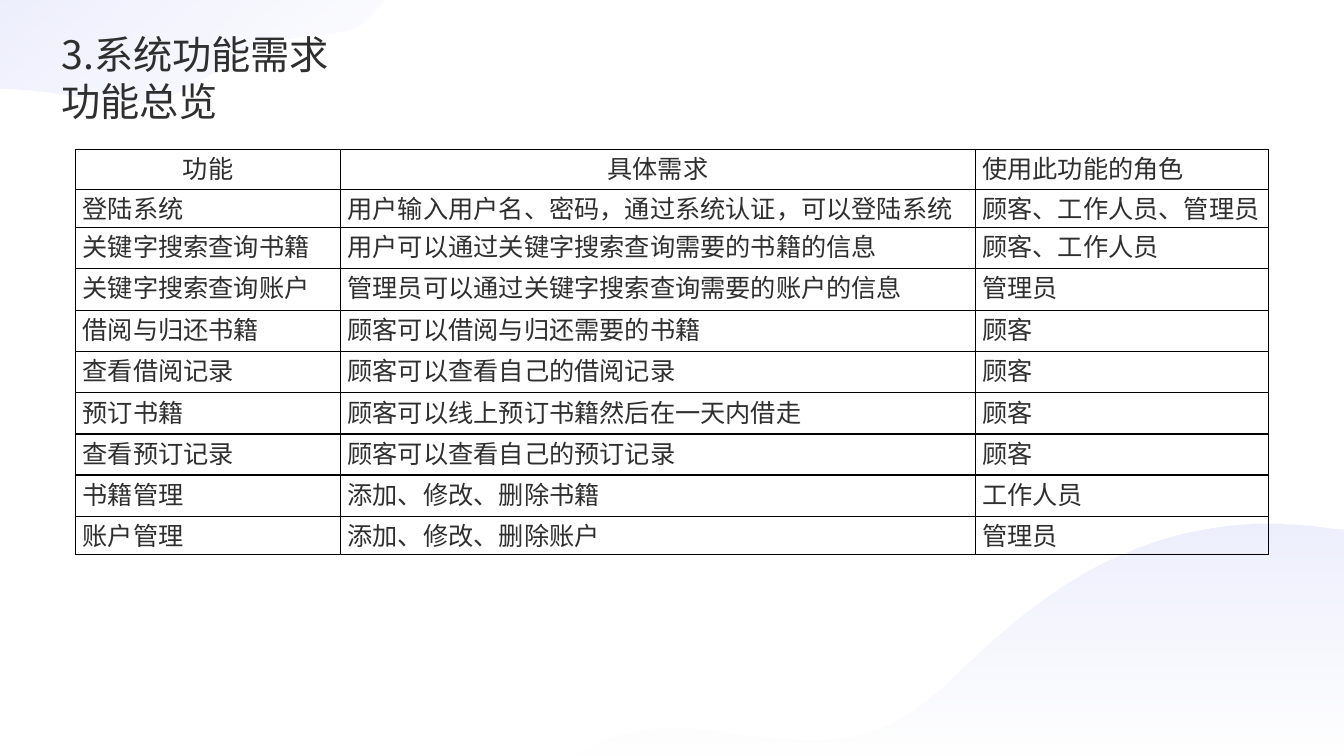
from itertools import product

from lxml.etree import SubElement
from pptx import Presentation
from pptx.dml.color import RGBColor
from pptx.enum.text import MSO_ANCHOR, PP_ALIGN
from pptx.oxml.ns import qn
from pptx.util import Inches, Pt

FONT, INK, LILAC = "Noto Sans CJK SC", "2F2F2F", "DBDFFB"
TABLE_W, TABLE_H = 11.83, 4.02
COLS = [2.63, 6.3, 2.91]
ROWS = [0.4, 0.38, 0.41, 0.42] + [0.41] * 5 + [0.38]
TITLE = ["3.系统功能需求", "功能总览"]
FUNCTIONS = [
    ("功能", "具体需求", "使用此功能的角色"),
    ("登陆系统", "用户输入用户名、密码，通过系统认证，可以登陆系统", "顾客、工作人员、管理员"),
    ("关键字搜索查询书籍", "用户可以通过关键字搜索查询需要的书籍的信息", "顾客、工作人员"),
    ("关键字搜索查询账户", "管理员可以通过关键字搜索查询需要的账户的信息", "管理员"),
    ("借阅与归还书籍", "顾客可以借阅与归还需要的书籍", "顾客"),
    ("查看借阅记录", "顾客可以查看自己的借阅记录", "顾客"),
    ("预订书籍", "顾客可以线上预订书籍然后在一天内借走", "顾客"),
    ("查看预订记录", "顾客可以查看自己的预订记录", "顾客"),
    ("书籍管理", "添加、修改、删除书籍", "工作人员"),
    ("账户管理", "添加、修改、删除账户", "管理员"),
]

# Wave outlines in hundredths of an inch: a pair is a line end, six numbers a Bézier curve
TOP_WAVE = [
    (0, 0), (380, 0), (379, 2),
    (374, 11, 365, 18, 359, 24),
    (343, 38, 291, 33, 256, 46),
    (221, 59, 196, 93, 148, 100),
    (112, 105, 69, 93, 20, 89), (0, 88),
]
BOTTOM_WAVE = [
    (1258, 519), (1276, 519, 1294, 520, 1314, 523),
    (1333, 525), (1333, 750), (567, 750), (576, 744),
    (598, 731, 640, 716, 701, 723),
    (800, 734, 860, 750, 934, 682),
    (1000, 620, 1094, 521, 1258, 519),
]


def rgb(color):
    return RGBColor.from_string(color)


def style(p, size, align):
    p.alignment = align
    font = p.font
    font.size, font.name, font.bold = Pt(size), FONT, False
    font.color.rgb = rgb(INK)
    SubElement(font._element, qn("a:ea"), typeface=FONT)


def add_wave(s, steps, angle):
    # Lay out every point as a line end, then join the triples into curves
    points = [step[i:i + 2] for step in steps for i in range(0, len(step), 2)]
    builder = s.shapes.build_freeform(*points[0], scale=Inches(0.01))
    builder.add_line_segments(points[1:], close=True)
    sp = builder.convert_to_shape()
    lines = iter(list(sp._element.iter(qn("a:lnTo"))))
    for step in steps[1:]:
        line = next(lines)
        if len(step) == 6:
            line.tag = qn("a:cubicBezTo")
            for _ in range(2):
                extra = next(lines)
                line.append(extra[0])
                extra.getparent().remove(extra)

    sp.shadow.inherit = False
    sp.line.fill.background()
    sp.fill.gradient()
    sp.fill.gradient_angle = 360 - angle
    for stop, place, alpha in zip(sp.fill.gradient_stops, (0, 1), (50000, 0)):
        stop.position = place
        stop.color.rgb = rgb(LILAC)
        color = stop._gs.find(qn("a:srgbClr"))
        SubElement(color, qn("a:alpha"), val=str(alpha))


def add_title(s):
    sp = s.shapes.title
    sp.left, sp.top, sp.width, sp.height = map(Inches, (0.51, 0.24, 4, 1.75))
    tf = sp.text_frame
    tf.text = "\n".join(TITLE)
    tf.word_wrap = True
    tf.margin_top = Inches(0.06)
    tf.vertical_anchor = MSO_ANCHOR.TOP
    for p in tf.paragraphs:
        p.line_spacing = Pt(33.6)
        style(p, 28, PP_ALIGN.LEFT)
    s.shapes._spTree.append(sp._element)  # in front of the waves


def border(cell):
    tc_pr = cell._tc.get_or_add_tcPr()
    for side in ("lnL", "lnR", "lnT", "lnB"):
        line = SubElement(tc_pr, qn(f"a:{side}"), w=str(Pt(1)))
        fill = SubElement(line, qn("a:solidFill"))
        SubElement(fill, qn("a:srgbClr"), val="000000")


def add_functions(s):
    frame = s.shapes.add_table(len(ROWS), len(COLS), Inches(0.75), Inches(1.48),
                               Inches(TABLE_W), Inches(TABLE_H))
    table = frame.table
    table.first_row = table.horz_banding = False
    for column, width in zip(table.columns, COLS):
        column.width = Inches(width * TABLE_W / sum(COLS))
    for row, height in zip(table.rows, ROWS):
        row.height = Inches(height * TABLE_H / sum(ROWS))
    for r, c in product(range(len(ROWS)), range(len(COLS))):
        cell = table.cell(r, c)
        cell.text = FUNCTIONS[r][c]
        cell.margin_left = cell.margin_right = Inches(0.07)
        cell.margin_top = cell.margin_bottom = 0
        border(cell)
        cell.fill.background()
        centred = r == 0 and c < 2
        style(cell.text_frame.paragraphs[0], 18,
              PP_ALIGN.CENTER if centred else PP_ALIGN.JUSTIFY)


def main():
    prs = Presentation()
    prs.slide_width, prs.slide_height = Inches(13.33), Inches(7.5)
    s = prs.slides.add_slide(prs.slide_layouts[5])

    # Background waves
    add_wave(s, TOP_WAVE, 50)
    add_wave(s, BOTTOM_WAVE, 90)

    # Table and heading
    add_functions(s)
    add_title(s)

    prs.save("out.pptx")


if __name__ == "__main__":
    main()
